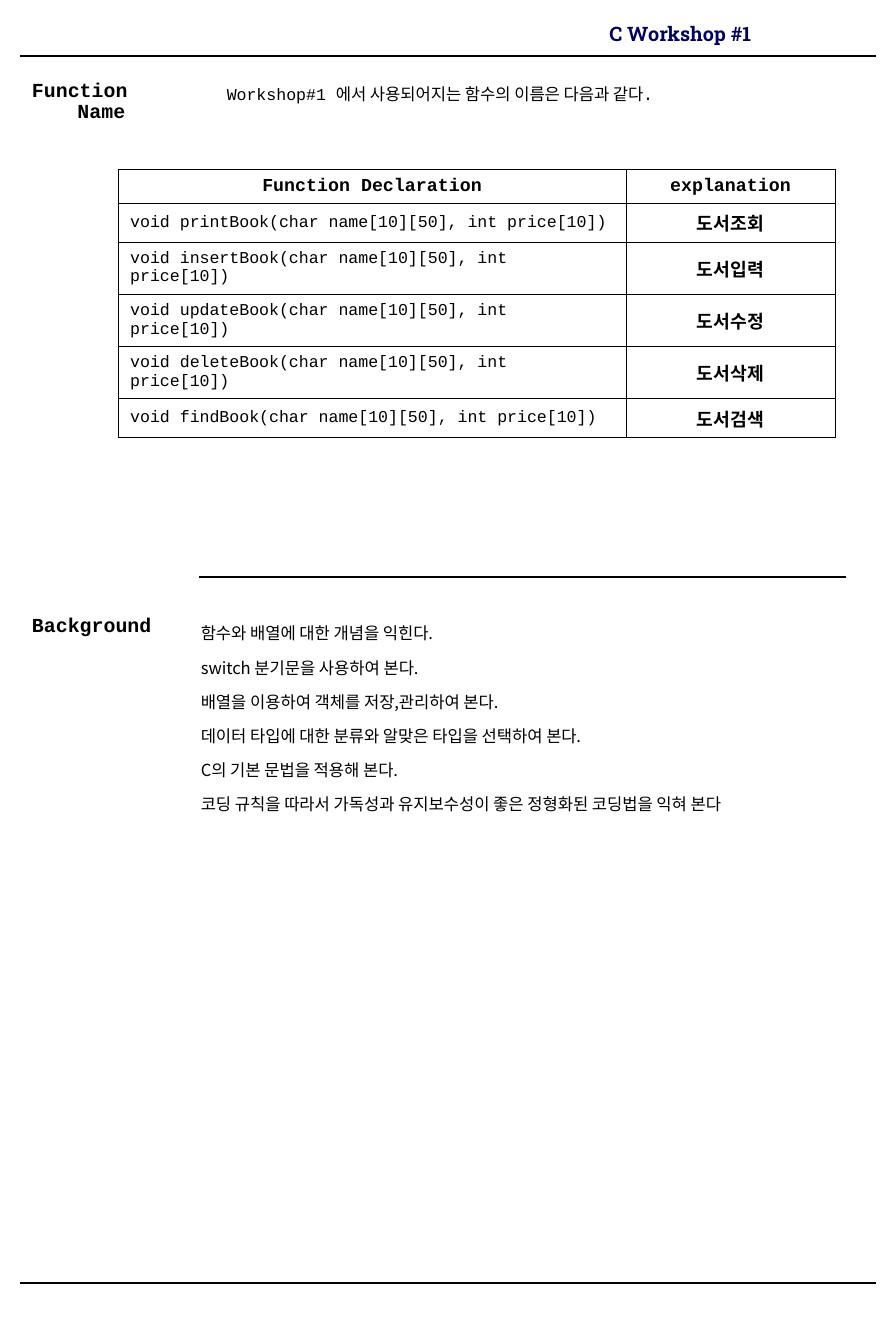
from typing import NamedTuple

from lxml.etree import SubElement
from pptx import Presentation
from pptx.dml.color import RGBColor
from pptx.enum.shapes import MSO_CONNECTOR
from pptx.enum.text import MSO_ANCHOR, MSO_AUTO_SIZE, PP_ALIGN
from pptx.oxml.ns import qn
from pptx.util import Pt

CODE_FONT = "Courier New"
KOREAN_FONT = "Noto Sans CJK KR"
TITLE_FONT = "Roboto Slab"
BLACK = "000000"
NAVY = "000066"


class Rule(NamedTuple):
    left: float
    right: float
    y: float


class SectionLabel(NamedTuple):
    text: str
    top: float
    height: float


class FunctionRow(NamedTuple):
    declaration: str
    explanation: str
    height: float


RULES = [Rule(12.2, 527.8, 33.8), Rule(12.2, 527.8, 773.3), Rule(120, 510, 347.8)]
LABELS = [SectionLabel("Function Name", 44.8, 52.6), SectionLabel("Background", 367.3, 25)]
SINGLE, DOUBLE = 20.7, 31.5
FUNCTIONS = [
    FunctionRow("Function Declaration", "explanation", SINGLE),
    FunctionRow("void printBook(char name[10][50], int price[10])", "도서조회", SINGLE),
    FunctionRow("void insertBook(char name[10][50], int price[10])", "도서입력", DOUBLE),
    FunctionRow("void updateBook(char name[10][50], int price[10])", "도서수정", DOUBLE),
    FunctionRow("void deleteBook(char name[10][50], int price[10])", "도서삭제", DOUBLE),
    FunctionRow("void findBook(char name[10][50], int price[10])", "도서검색", SINGLE),
]
COLUMN_WIDTHS = (306, 126)
GOALS = [
    "함수와 배열에 대한 개념을 익힌다.",
    "switch 분기문을 사용하여 본다.",
    "배열을 이용하여 객체를 저장,관리하여 본다.",
    "데이터 타입에 대한 분류와 알맞은 타입을 선택하여 본다.",
    "C의 기본 문법을 적용해 본다.",
    "코딩 규칙을 따라서 가독성과 유지보수성이 좋은 정형화된 코딩법을 익혀 본다",
]


def rgb(color: str) -> RGBColor:
    return RGBColor.from_string(color)


def write(frame, *lines: str, size: float = 10, font: str = CODE_FONT, color: str = BLACK,
          bold: bool = False, align=PP_ALIGN.LEFT, spacing: float = 1.0,
          gap: float = 0, hanging: float = 0) -> None:
    """Fill a text frame, one unbulleted paragraph per line, with gap between them."""
    for index, line in enumerate(lines):
        paragraph = frame.add_paragraph() if index else frame.paragraphs[0]
        paragraph.alignment = align
        paragraph.line_spacing = spacing
        paragraph.space_before = Pt(gap if index else 0)
        properties = paragraph._p.get_or_add_pPr()
        properties.set("marL", str(Pt(hanging)))
        properties.set("indent", str(-Pt(hanging)))
        SubElement(properties, qn("a:buNone"))
        run = paragraph.add_run()
        run.text = line
        run.font.size = Pt(size)
        run.font.bold = bold
        run.font.color.rgb = rgb(color)
        run.font.name = font
        SubElement(run.font._rPr, qn("a:ea")).set("typeface", KOREAN_FONT)


def place(shape, left: float, top: float, width: float, height: float,
          wrap: bool = True, anchor=MSO_ANCHOR.TOP):
    """Position a text shape and return its prepared text frame."""
    shape.left, shape.top = Pt(left), Pt(top)
    shape.width, shape.height = Pt(width), Pt(height)
    frame = shape.text_frame
    frame.auto_size = MSO_AUTO_SIZE.NONE
    frame.word_wrap = wrap
    frame.vertical_anchor = anchor
    return frame


def add_text_box(slide, left: float, top: float, width: float, height: float, **layout):
    box = slide.shapes.add_textbox(0, 0, 0, 0)
    return place(box, left, top, width, height, **layout)


def add_rule(slide, rule: Rule) -> None:
    line = slide.shapes.add_connector(
        MSO_CONNECTOR.STRAIGHT, Pt(rule.left), Pt(rule.y), Pt(rule.right), Pt(rule.y))
    line.line.color.rgb = rgb(BLACK)
    line.line.width = Pt(1.5)
    SubElement(line._element.spPr, qn("a:effectLst"))


def add_border(cell, side: str, width: float) -> None:
    border = SubElement(cell._tc.get_or_add_tcPr(), qn(f"a:ln{side}"), w=str(Pt(width)))
    fill = SubElement(border, qn("a:solidFill"))
    SubElement(fill, qn("a:srgbClr"), val=BLACK)


def add_function_table(slide) -> None:
    rows, columns = len(FUNCTIONS), len(COLUMN_WIDTHS)
    height = sum(function.height for function in FUNCTIONS)
    table = slide.shapes.add_table(
        rows, columns, Pt(71.3), Pt(102), Pt(sum(COLUMN_WIDTHS)), Pt(height)).table
    table.first_row = table.horz_banding = False
    for column, width in zip(table.columns, COLUMN_WIDTHS):
        column.width = Pt(width)
    for r, function in enumerate(FUNCTIONS):
        table.rows[r].height = Pt(function.height)
        for c, text in enumerate((function.declaration, function.explanation)):
            cell = table.cell(r, c)
            outer = {"L": c == 0, "R": c == columns - 1, "T": r == 0, "B": r == rows - 1}
            for side, is_outer in outer.items():
                add_border(cell, side, 0.75 if is_outer else 0.45)
            cell.fill.background()
            cell.vertical_anchor = MSO_ANCHOR.MIDDLE
            emphasized = r == 0 or c == 1
            write(cell.text_frame, text, size=11 if emphasized else 10, bold=emphasized,
                  align=PP_ALIGN.CENTER if emphasized else PP_ALIGN.LEFT)


def main() -> None:
    presentation = Presentation()
    presentation.slide_width, presentation.slide_height = Pt(540), Pt(810)
    slide = presentation.slides.add_slide(presentation.slide_layouts[1])

    title = place(slide.shapes.title, 351.4, 9.4, 108.7, 21.6, wrap=False)
    write(title, "C Workshop #1", size=12, font=TITLE_FONT, color=NAVY, bold=True,
          align=PP_ALIGN.RIGHT)
    for rule in RULES:
        add_rule(slide, rule)
    for label in LABELS:
        frame = add_text_box(slide, 12.2, label.top, 102.2, label.height)
        write(frame, label.text, size=12, bold=True, spacing=0.9, hanging=27.4)

    intro = add_text_box(slide, 129.6, 43.2, 278.6, 23, wrap=False, anchor=MSO_ANCHOR.MIDDLE)
    write(intro, "Workshop#1 에서 사용되어지는 함수의 이름은 다음과 같다.", spacing=1.3)
    add_function_table(slide)
    goals = place(slide.placeholders[1], 113.8, 367.3, 401.8, 126.7)
    write(goals, *GOALS, font=KOREAN_FONT, spacing=1.4, gap=3.7)

    presentation.save("out.pptx")


if __name__ == "__main__":
    main()
